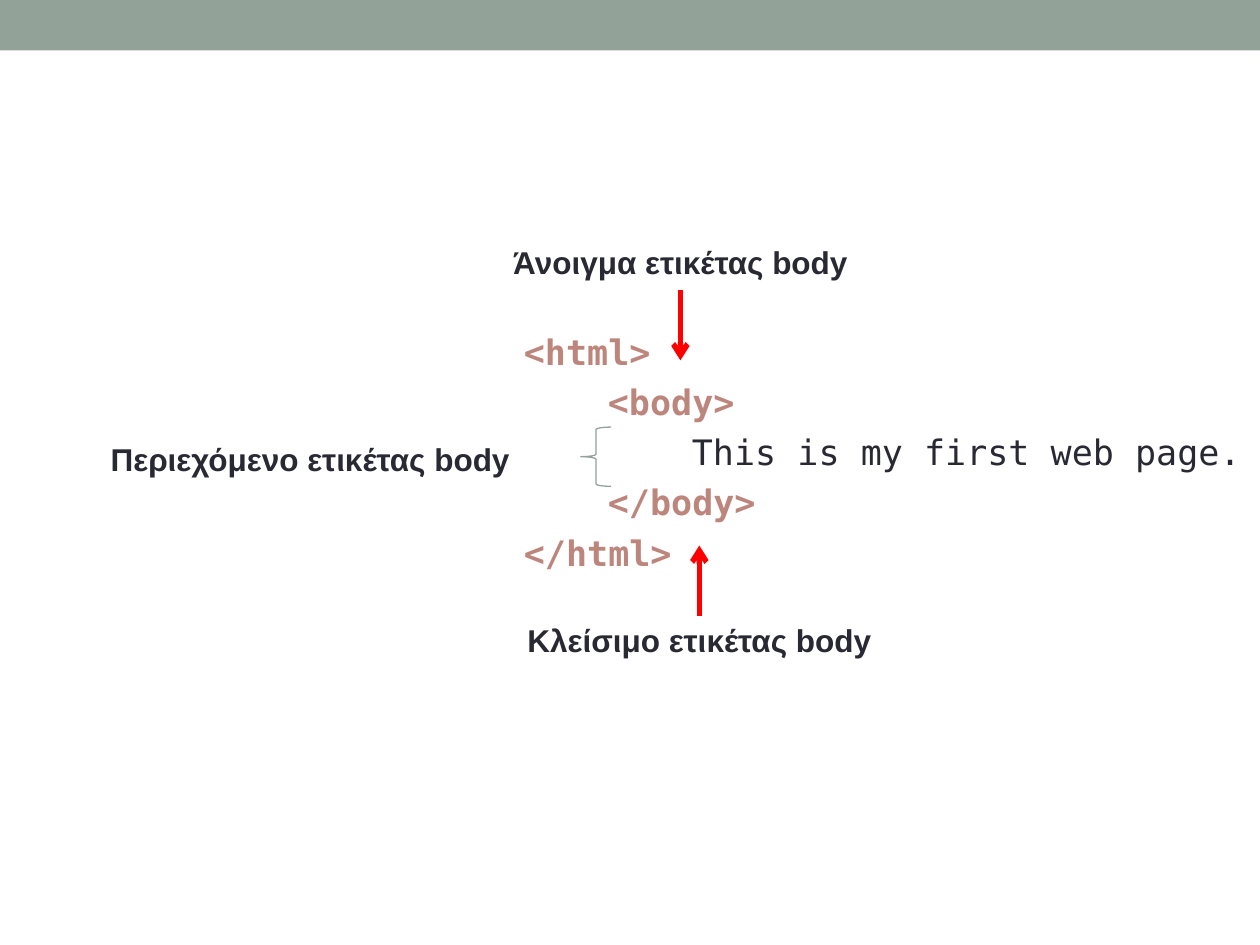
from dataclasses import dataclass

from lxml.etree import SubElement
from pptx import Presentation
from pptx.dml.color import RGBColor
from pptx.enum.shapes import MSO_CONNECTOR, MSO_SHAPE
from pptx.enum.text import PP_ALIGN
from pptx.oxml.ns import qn
from pptx.slide import Slide
from pptx.util import Emu, Inches, Pt

COLS, ROWS = 100, 75
WIDTH, HEIGHT = Inches(10), Inches(7.5)
SANS, MONO = "Arial", "DejaVu Sans Mono"
SAGE, INK, ROSE, RED = "93A299", "292934", "BD867C", "FF0000"
CODE_SIZE = 20
INDENT = Pt(4 * 0.6 * CODE_SIZE)


@dataclass
class Box:
    col: float
    row: float
    cols: float
    rows: float

    def emu(self) -> tuple[Emu, Emu, Emu, Emu]:
        return x(self.col), y(self.row), x(self.cols), y(self.rows)


@dataclass
class Label:
    text: str
    box: Box
    align: PP_ALIGN = PP_ALIGN.CENTER


@dataclass
class Arrow:
    col: float
    start: float
    end: float


@dataclass
class CodeLine:
    text: str
    depth: int
    tag: bool = True


LABELS = [
    Label("Περιεχόμενο ετικέτας body", Box(7.8, 34.4, 36.3, 4), PP_ALIGN.LEFT),
    Label("Άνοιγμα ετικέτας body", Box(37.4, 18.8, 33.2, 4)),
    Label("Κλείσιμο ετικέτας body", Box(38.9, 48.8, 33.2, 4)),
]
ARROWS = [Arrow(54, 23, 28.6), Arrow(55.5, 48.9, 43.3)]
CODE = [
    CodeLine("<html>", 0),
    CodeLine("<body>", 1),
    CodeLine("This is my first web page.", 2, tag=False),
    CodeLine("</body>", 1),
    CodeLine("</html>", 0),
]


def x(cols: float) -> Emu:
    return Emu(round(WIDTH * cols / COLS))


def y(rows: float) -> Emu:
    return Emu(round(HEIGHT * rows / ROWS))


def rgb(color: str) -> RGBColor:
    return RGBColor.from_string(color)


def add_run(p, text: str, font: str, size: float, color: str, bold: bool) -> None:
    r = p.add_run()
    r.text = text
    r.font.name, r.font.size, r.font.bold = font, Pt(size), bold
    r.font.color.rgb = rgb(color)


def add_text_frame(slide: Slide, box: Box):
    tf = slide.shapes.add_textbox(*box.emu()).text_frame
    tf.word_wrap = True
    return tf


def add_band(slide: Slide, box: Box) -> None:
    sp = slide.shapes.add_shape(MSO_SHAPE.RECTANGLE, *box.emu())
    sp.shadow.inherit = False
    sp.fill.solid()
    sp.fill.fore_color.rgb = rgb(SAGE)
    sp.line.fill.background()


def add_brace(slide: Slide, box: Box) -> None:
    sp = slide.shapes.add_shape(MSO_SHAPE.LEFT_BRACE, *box.emu())
    sp.shadow.inherit = False
    sp.fill.background()
    sp.line.color.rgb = rgb(SAGE)
    sp.line.width = Pt(0.75)


def add_code(slide: Slide, box: Box, lines: list[CodeLine]) -> None:
    tf = add_text_frame(slide, box)
    for i, line in enumerate(lines):
        p = tf.paragraphs[0] if i == 0 else tf.add_paragraph()
        p.space_before = Pt(4.7)
        p._p.get_or_add_pPr().set("marL", str(INDENT * line.depth))
        add_run(p, line.text, MONO, CODE_SIZE, ROSE if line.tag else INK, line.tag)


def add_label(slide: Slide, label: Label) -> None:
    p = add_text_frame(slide, label.box).paragraphs[0]
    p.alignment = label.align
    add_run(p, label.text, SANS, 18, INK, True)


def add_arrow(slide: Slide, arrow: Arrow) -> None:
    sp = slide.shapes.add_connector(
        MSO_CONNECTOR.STRAIGHT,
        x(arrow.col), y(arrow.start), x(arrow.col), y(arrow.end),
    )
    sp.line.color.rgb = rgb(RED)
    sp.line.width = Pt(3)
    SubElement(sp.line._get_or_add_ln(), qn("a:tailEnd"), type="arrow")
    SubElement(sp._element.spPr, qn("a:effectLst"))


def main() -> None:
    prs = Presentation()
    prs.slide_width, prs.slide_height = WIDTH, HEIGHT
    slide = prs.slides.add_slide(prs.slide_layouts[6])
    add_band(slide, Box(0, 0, COLS, 4))
    add_code(slide, Box(40.6, 25.7, 59.4, 32.6), CODE)
    add_brace(slide, Box(46.1, 33.9, 2.4, 4.7))
    for arrow in ARROWS:
        add_arrow(slide, arrow)
    for label in LABELS:
        add_label(slide, label)
    prs.save("out.pptx")


if __name__ == "__main__":
    main()
